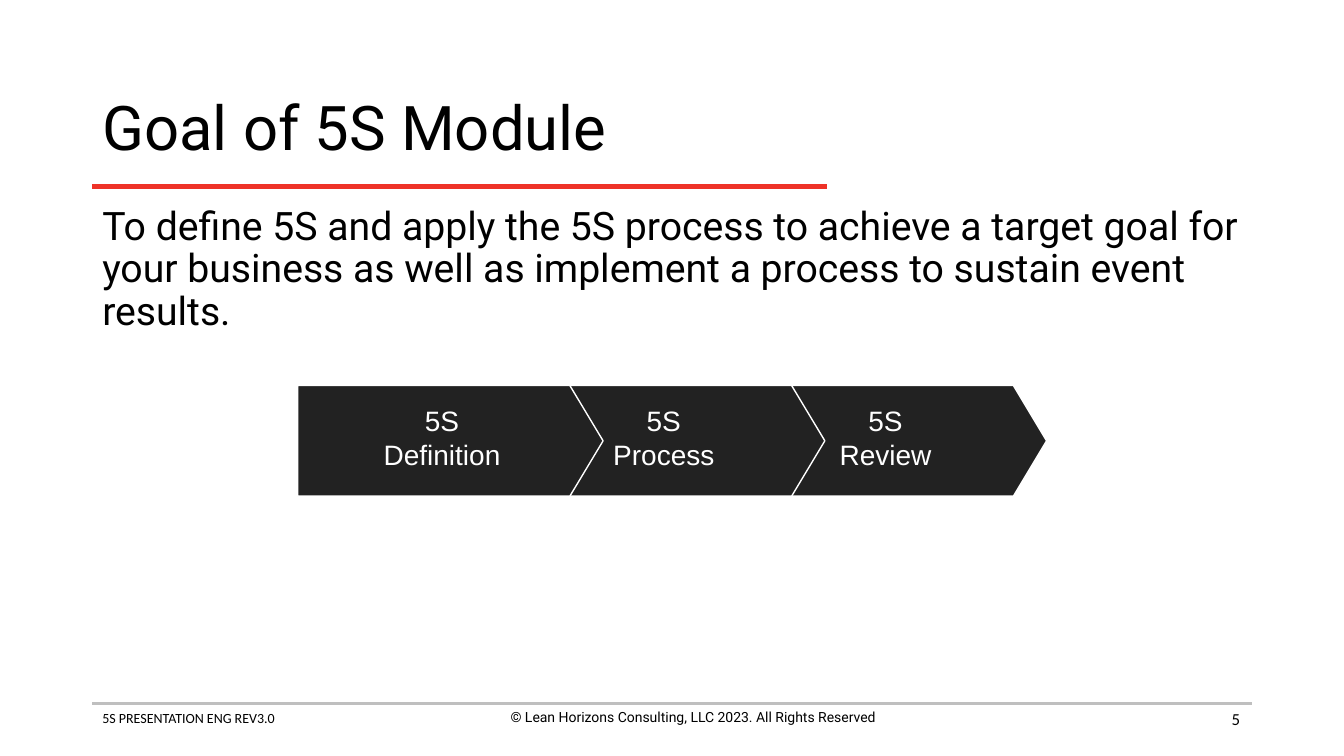
from pptx import Presentation
from pptx.dml.color import RGBColor
from pptx.enum.shapes import MSO_CONNECTOR, MSO_SHAPE
from pptx.enum.text import MSO_ANCHOR, PP_ALIGN
from pptx.oxml.ns import qn
from pptx.util import Pt
from lxml import etree

BLACK = RGBColor(0x00, 0x00, 0x00)
WHITE = RGBColor(0xFF, 0xFF, 0xFF)
DARK = RGBColor(0x22, 0x22, 0x22)
GREY = RGBColor(0xBF, 0xBF, 0xBF)
RED = RGBColor(0xEE, 0x32, 0x28)
LEFT, CENTER, RIGHT = PP_ALIGN.LEFT, PP_ALIGN.CENTER, PP_ALIGN.RIGHT
TOP, MIDDLE = MSO_ANCHOR.TOP, MSO_ANCHOR.MIDDLE
STRAIGHT = MSO_CONNECTOR.STRAIGHT
ARROW = MSO_SHAPE.PENTAGON

deck = Presentation()
deck.slide_width = Pt(960)
deck.slide_height = Pt(540)
slide = deck.slides.add_slide(deck.slide_layouts[6])
shapes = slide.shapes


def write(frame, text, font, size, color, align, anchor, gap):
    frame.text = text
    frame.vertical_anchor = anchor
    for para in frame.paragraphs:
        para.alignment = align
        para.line_spacing = gap
        para.font.name = font
        para.font.size = Pt(size)
        para.font.color.rgb = color


rules = [
    (66, 894, 502.5, GREY, 2),
    (66, 590.5, 133.2, RED, 3),
]
for start, end, y, color, width in rules:
    rule = shapes.add_connector(STRAIGHT, Pt(start), Pt(y), Pt(end), Pt(y))
    rule.line.color.rgb = color
    rule.line.width = Pt(width)
    etree.SubElement(rule.element.spPr, qn("a:effectLst"))

texts = [
    (66, 503.3, 328, 31.7, "5S PRESENTATION ENG REV3.0", "Calibri", 10, LEFT, TOP, 1),
    (331, 502.5, 328, 31.7, "© Lean Horizons Consulting, LLC 2023. All Rights Reserved",
     "Roboto", 10, CENTER, TOP, 1),
    (66, 53.5, 828, 79, "Goal of 5S Module", "Roboto", 44, LEFT, MIDDLE, 0.9),
    (66, 144, 828, 343, "To define 5S and apply the 5S process to achieve a target goal for "
     "your business as well as implement a process to sustain event results.",
     "Roboto", 28, LEFT, TOP, 0.9),
    (677, 499, 216, 28.8, "5", "Calibri", 12, RIGHT, MIDDLE, 1),
]
for x, y, width, height, text, font, size, align, anchor, gap in texts:
    box = shapes.add_textbox(Pt(x), Pt(y), Pt(width), Pt(height))
    box.text_frame.word_wrap = True
    write(box.text_frame, text, font, size, BLACK, align, anchor, gap)

steps = ["Definition", "Process", "Review"]
for i, step in reversed(list(enumerate(steps))):
    arrow = shapes.add_shape(ARROW, Pt(212.6 + 158.4 * i), Pt(275.4), Pt(218.2), Pt(79))
    arrow.shadow.inherit = False
    arrow.adjustments[0] = 0.3
    arrow.fill.solid()
    arrow.fill.fore_color.rgb = DARK
    arrow.line.color.rgb = WHITE
    arrow.line.width = Pt(1)
    frame = arrow.text_frame
    frame.word_wrap = False
    write(frame, "5S\n" + step, "Arial", 20, WHITE, CENTER, MIDDLE, 0.8)
    frame.paragraphs[1].space_before = Pt(5)

deck.save("out.pptx")
